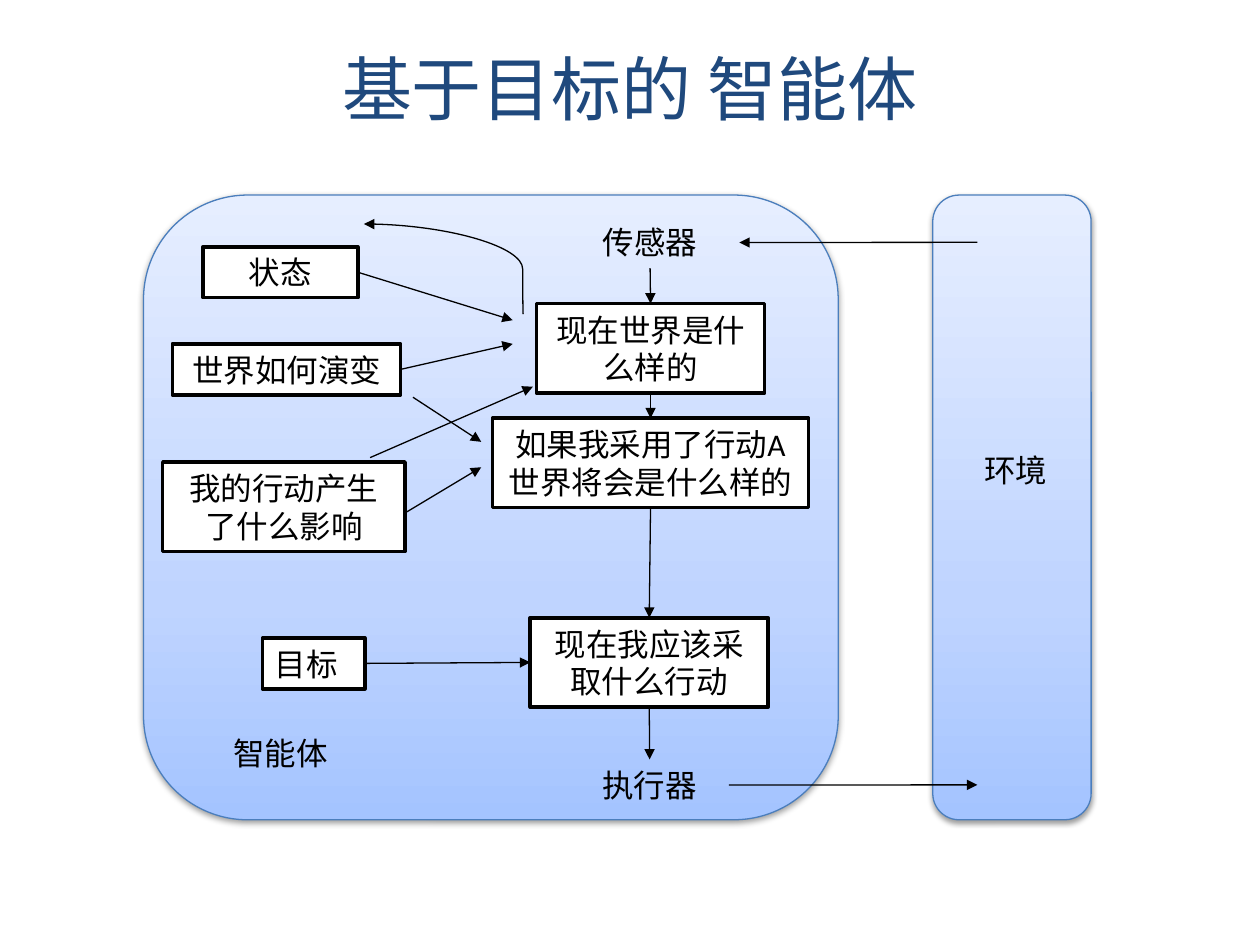
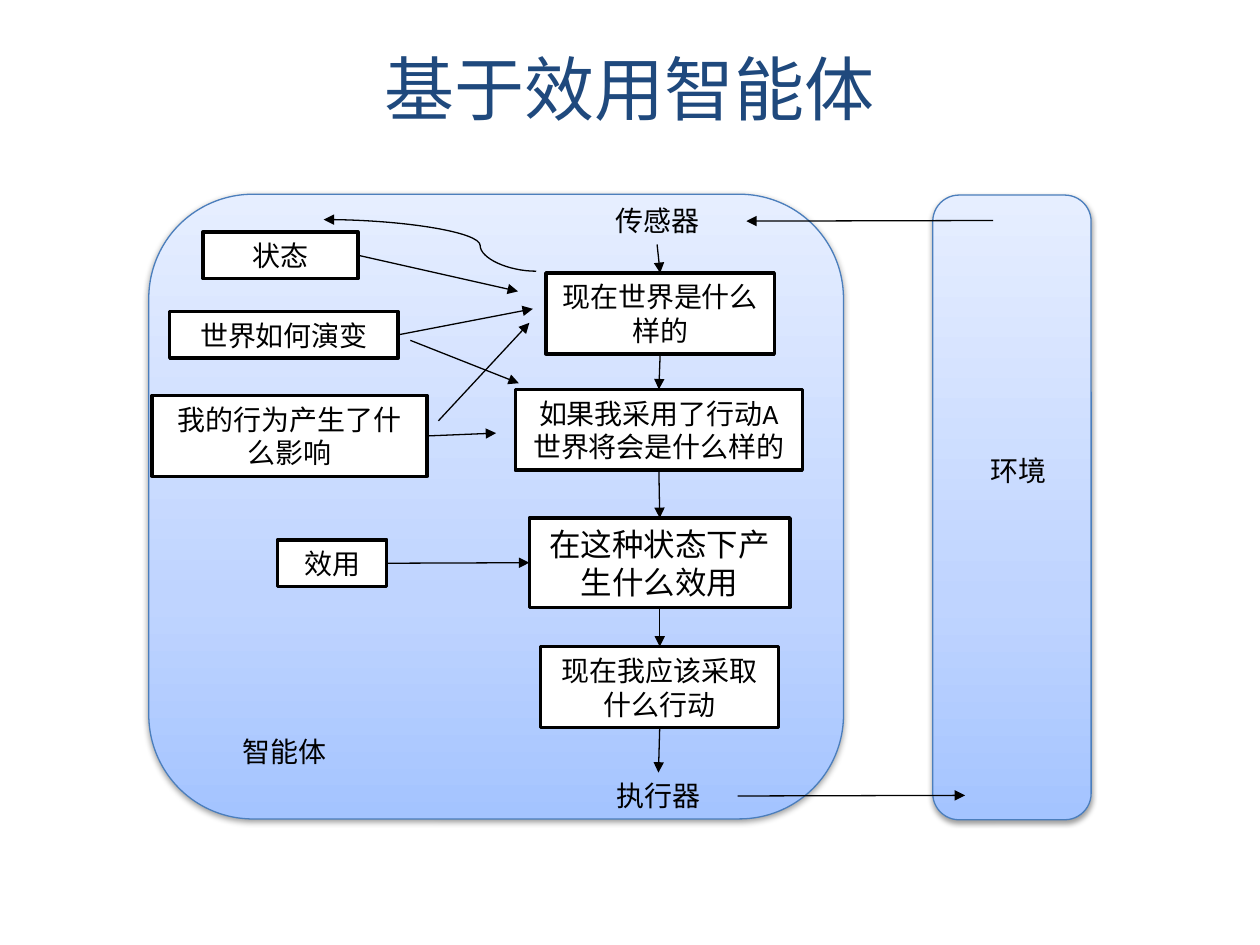
from copy import deepcopy
from dataclasses import dataclass

from lxml.etree import SubElement
from pptx import Presentation
from pptx.dml.color import RGBColor
from pptx.enum.shapes import MSO_CONNECTOR, MSO_SHAPE
from pptx.enum.text import MSO_ANCHOR, PP_ALIGN
from pptx.oxml.ns import qn
from pptx.util import Pt

TOP, LEFT, BOTTOM, RIGHT = range(4)


@dataclass(frozen=True)
class Theme:
    font: str = "Calibri"
    title: RGBColor = RGBColor(0x1F, 0x49, 0x7D)
    ink: RGBColor = RGBColor(0, 0, 0)
    paper: RGBColor = RGBColor(255, 255, 255)
    panel_line: RGBColor = RGBColor(0x4B, 0x7E, 0xBC)
    panel_stops: tuple = ((0, "A4C4FF"), (0.35, "BFD4FF"), (1, "E6EEFF"))
    title_size: int = 40
    large: int = 18
    small: int = 16
    thin: float = 0.75
    thick: float = 2


THEME = Theme()


# Text
def write(shape, text, size, color=THEME.ink, align=PP_ALIGN.CENTER):
    frame = shape.text_frame
    frame.word_wrap = True
    frame.text = text
    para = frame.paragraphs[0]
    para.alignment = align
    for span in para.runs:
        span.font.name = THEME.font
        span.font.size = Pt(size)
        span.font.color.rgb = color


def text_height(lines, size):
    return round(lines * size * 1.22 + 7.2, 2)


def add_title(page, text):
    box = page.shapes.add_textbox(Pt(19.5), Pt(16), Pt(680.5), Pt(68))
    write(box, text, THEME.title_size, THEME.title)
    box.text_frame.vertical_anchor = MSO_ANCHOR.MIDDLE


def add_label(page, text, left, top, width, size):
    label = page.shapes.add_textbox(Pt(left), Pt(top), Pt(width), Pt(text_height(1, size)))
    write(label, text, size)
    return label


# Shapes
def add_box(page, text, left, top, width, lines, size, align=PP_ALIGN.CENTER):
    box = page.shapes.add_shape(MSO_SHAPE.RECTANGLE, Pt(left), Pt(top), Pt(width),
                                Pt(text_height(lines, size)))
    box.shadow.inherit = False
    box.fill.solid()
    box.fill.fore_color.rgb = THEME.paper
    box.line.color.rgb = THEME.ink
    box.line.width = Pt(THEME.thick)
    write(box, text, size, align=align)
    return box


def add_panel(page, left, top, width, height=357):
    panel = page.shapes.add_shape(MSO_SHAPE.ROUNDED_RECTANGLE,
                                  Pt(left), Pt(top), Pt(width), Pt(height))
    panel.line.color.rgb = THEME.panel_line
    panel.line.width = Pt(THEME.thin)

    # Three-stop gradient, darkest at the bottom
    panel.fill.gradient()
    panel.fill.gradient_angle = 90
    stop_list = panel._element.spPr.find(qn("a:gradFill")).find(qn("a:gsLst"))
    stop_list.append(deepcopy(stop_list[0]))
    for stop, (position, color) in zip(panel.fill.gradient_stops, THEME.panel_stops):
        stop.position = position
        stop.color.rgb = RGBColor.from_string(color)

    # Soft shadow below
    panel.shadow.inherit = False
    effects = panel._element.spPr.find(qn("a:effectLst"))
    shadow = SubElement(effects, qn("a:outerShdw"), blurRad=str(Pt(3.1)), dist=str(Pt(1.6)),
                        dir="5400000", rotWithShape="0")
    color = SubElement(shadow, qn("a:srgbClr"), val=str(THEME.ink))
    SubElement(color, qn("a:alpha"), val="38000")


# Arrows: an end is a point (x, y) or a side (part name, side number)
def add_arrow(page, parts, start, end, kind=MSO_CONNECTOR.STRAIGHT):
    def point(place):
        return (0, 0) if place[0] in parts else tuple(Pt(value) for value in place)

    arrow = page.shapes.add_connector(kind, *point(start), *point(end))
    if start[0] in parts:
        arrow.begin_connect(parts[start[0]], start[1])
    if end[0] in parts:
        arrow.end_connect(parts[end[0]], end[1])
    arrow.line.color.rgb = THEME.ink
    arrow.line.width = Pt(THEME.thin)
    SubElement(arrow.line._get_or_add_ln(), qn("a:tailEnd"), type="triangle")
    SubElement(arrow._element.spPr, qn("a:effectLst"))
    return arrow


def add_curve(page, start, end, bend):
    curve = add_arrow(page, {}, start, end, MSO_CONNECTOR.CURVE)
    geometry = curve._element.spPr.find(qn("a:prstGeom"))
    guides = geometry.find(qn("a:avLst"))
    if guides is None:
        guides = SubElement(geometry, qn("a:avLst"))
    SubElement(guides, qn("a:gd"), name="adj1", fmla=f"val {round(bend * 100000)}")


def add_agent_page(deck, title, size, agent, labels, boxes, chain, arrows, curve):
    page = deck.slides.add_slide(deck.slide_layouts[6])
    add_title(page, title)
    add_panel(page, *agent, width=397)
    add_panel(page, 533, 111.5, width=90.5)

    parts = {}
    for name, text in (("agent", "智能体"), ("environment", "环境"),
                       ("sensors", "传感器"), ("actuators", "执行器")):
        parts[name] = add_label(page, text, *labels[name], size)
    for name, (text, left, top, width, lines, *style) in boxes.items():
        options = {"size": size, **(style[0] if style else {})}
        parts[name] = add_box(page, text, left, top, width, lines, **options)

    # Main flow from sensors down to actuators, then side inputs
    for upper, lower in zip(chain, chain[1:]):
        add_arrow(page, parts, (upper, BOTTOM), (lower, TOP))
    for start, end in arrows:
        add_arrow(page, parts, start, end)
    add_curve(page, *curve)


def add_goal_page(deck):
    add_agent_page(
        deck, "基于目标的 智能体", THEME.large, agent=(82, 111.5),
        labels={
            "agent": (124.5, 416, 71.5),
            "environment": (524, 254, 113),
            "sensors": (320.5, 124, 102),
            "actuators": (326, 434, 90.5),
        },
        boxes={
            "world now": ("现在世界是什么样的", 306.5, 173.5, 130.5, 2),
            "world next": ("如果我采用了行动A世界将会是什么样的", 281.5, 239, 180.5, 2),
            "action": ("现在我应该采取什么行动", 303, 353, 136, 2),
            "goal": ("目标", 150, 364.5, 58.5, 1, {"align": PP_ALIGN.LEFT}),
            "state": ("状态", 116, 141, 88.5, 1),
            "evolution": ("世界如何演变", 98.5, 196.5, 130.5, 1),
            "effects": ("我的行动产生了什么影响", 93, 264, 138.5, 2),
        },
        chain=("sensors", "world now", "world next", "action", "actuators"),
        arrows=(
            ((558.5, 138.5), ("sensors", RIGHT)),
            (("actuators", RIGHT), (558.5, 448.5)),
            (("goal", RIGHT), ("action", LEFT)),
            (("state", RIGHT), (293, 183)),
            (("evolution", RIGHT), (293, 196.5)),
            ((236, 227), (275, 252.5)),
            ((211.5, 261.5), (304.5, 221)),
            ((232.5, 292.5), (275, 267)),
        ),
        curve=((299, 179.5), (208, 128), 0.003),
    )


def add_utility_page(deck):
    add_agent_page(
        deck, "基于效用智能体", THEME.small, agent=(85, 111),
        labels={
            "agent": (124.5, 416, 76.5),
            "environment": (525.5, 255.5, 113),
            "sensors": (324.5, 113, 102),
            "actuators": (331, 441.5, 90.5),
        },
        boxes={
            "world now": ("现在世界是什么样的", 312, 156, 130.5, 2),
            "world next": ("如果我采用了行动A世界将会是什么样的", 294.5, 222.5, 164, 2),
            "value": ("在这种状态下产生什么效用", 302.5, 296, 149, 2, {"size": THEME.large}),
            "action": ("现在我应该采取什么行动", 309, 369.5, 136, 2),
            "utility": ("效用", 158.5, 308.5, 62.5, 1),
            "state": ("状态", 116, 132.5, 88.5, 1),
            "evolution": ("世界如何演变", 97, 178, 130.5, 1),
            "effects": ("我的行为产生了什么影响", 87, 226, 157, 2),
        },
        chain=("sensors", "world now", "world next", "value", "action", "actuators"),
        arrows=(
            ((567.5, 126), ("sensors", RIGHT)),
            (("actuators", RIGHT), (551.5, 454.5)),
            (("utility", RIGHT), ("value", LEFT)),
            (("state", RIGHT), (296, 166.5)),
            (("evolution", RIGHT), (304.5, 176.5)),
            ((234.5, 194.5), (296.5, 219)),
            ((250.5, 240.5), (302.5, 184.5)),
            (("effects", RIGHT), (283.5, 247.5)),
        ),
        curve=((306.5, 155), (185, 125.5), 0.264),
    )


def main():
    deck = Presentation()
    deck.slide_width, deck.slide_height = Pt(720), Pt(540)
    add_goal_page(deck)
    add_utility_page(deck)
    deck.save("out.pptx")


if __name__ == "__main__":
    main()
